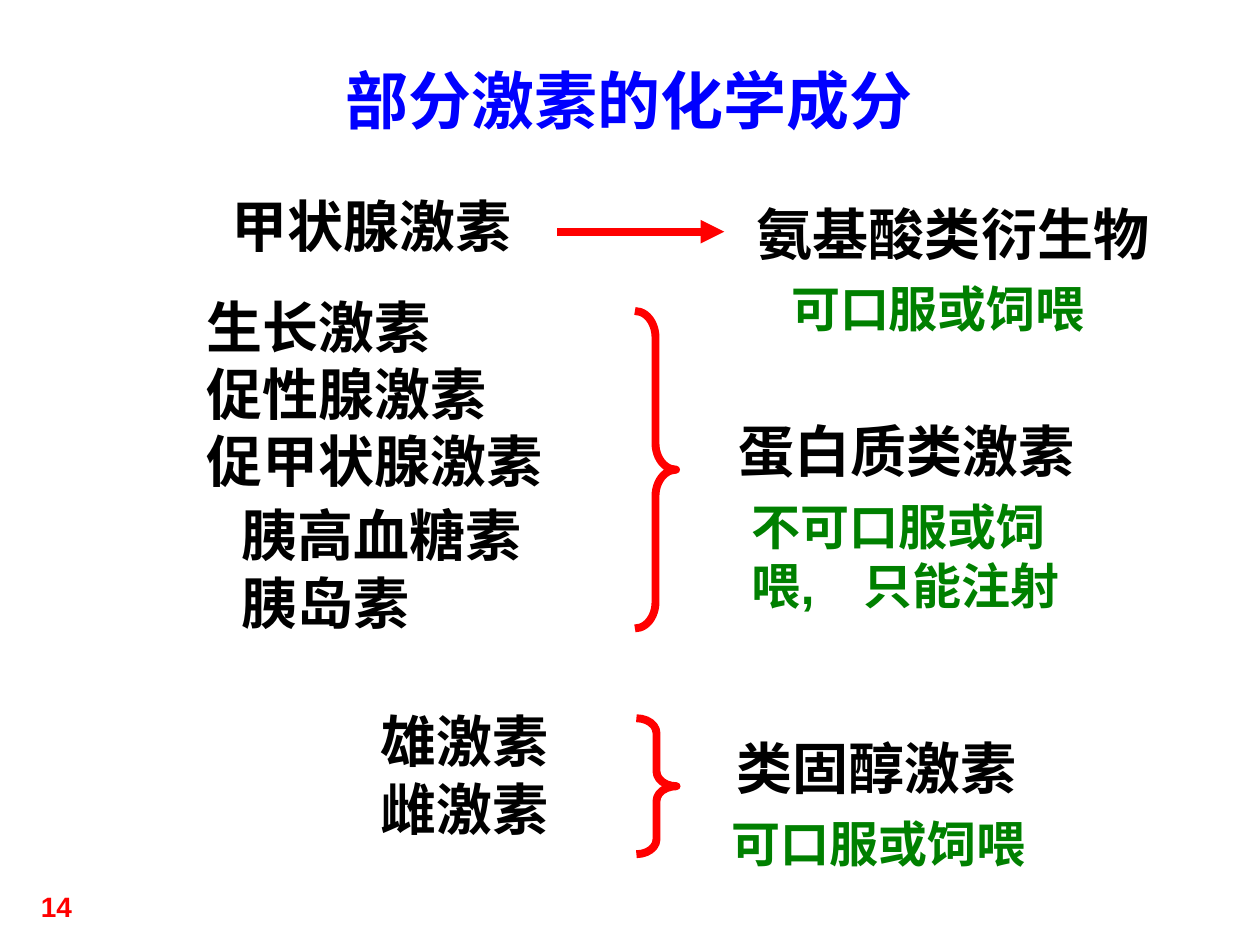
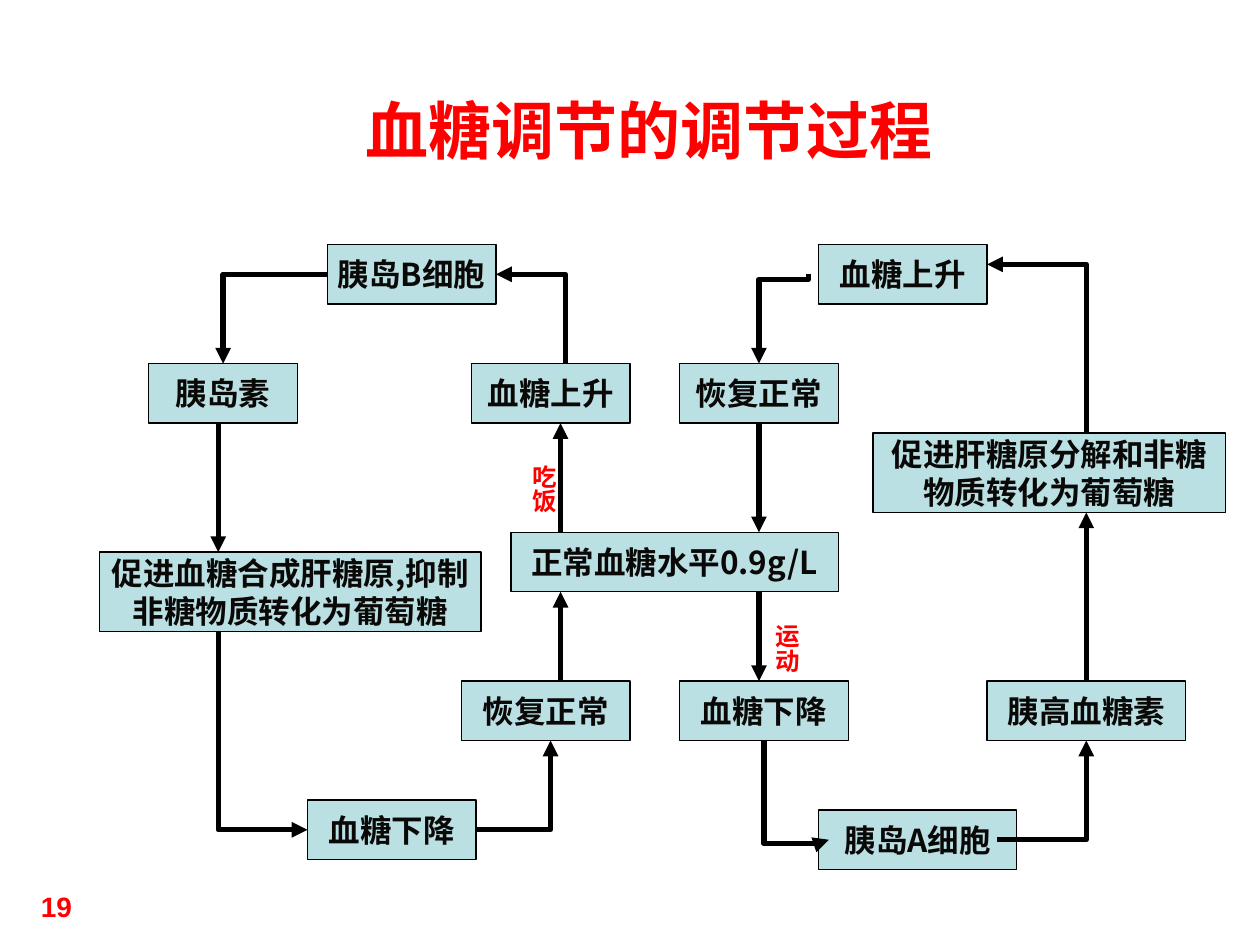
from lxml.etree import SubElement
from pptx import Presentation
from pptx.dml.color import RGBColor
from pptx.enum.shapes import MSO_CONNECTOR, MSO_SHAPE
from pptx.enum.text import MSO_ANCHOR, PP_ALIGN
from pptx.oxml.ns import qn
from pptx.util import Cm, Pt

RED = RGBColor(0xFF, 0x00, 0x00)
BLUE = RGBColor(0x00, 0x00, 0xFF)
GREEN = RGBColor(0x00, 0x80, 0x00)
BLACK = RGBColor(0x00, 0x00, 0x00)
INK = RGBColor(0x0A, 0x09, 0x08)
PALE = RGBColor(0xBB, 0xE0, 0xE3)

SERIF = "Times New Roman"
SANS = "Arial"
HAN = "Noto Sans CJK SC"


# Shared helpers
def write(frame, text, size, color, font, align=None):
    frame.text = text
    for para in frame.paragraphs:
        para.alignment = align
        for run in para.runs:
            run.font.size = Pt(size)
            run.font.bold = True
            run.font.color.rgb = color
            run.font.name = font
            SubElement(run.font._element, qn("a:ea"), typeface=HAN)


def label(slide, box, text, size=32, color=BLACK, font=SERIF,
          align=None, anchor=MSO_ANCHOR.TOP):
    frame = slide.shapes.add_textbox(*map(Cm, box)).text_frame
    frame.word_wrap = True
    frame.vertical_anchor = anchor
    write(frame, text, size, color, font, align)
    return frame


def style(shape, color, width, tip=None):
    """Set a plain line without shadow; tip is headEnd, tailEnd or None."""
    shape.line.color.rgb = color
    shape.line.width = Pt(width)
    props = shape._element.spPr
    if tip:
        SubElement(props.find(qn("a:ln")), qn("a:" + tip), type="triangle")
    if props.find(qn("a:effectLst")) is None:
        SubElement(props, qn("a:effectLst"))


def arrow(slide, start, end, color=BLACK, width=3):
    line = slide.shapes.add_connector(
        MSO_CONNECTOR.STRAIGHT, *map(Cm, start + end))
    style(line, color, width, "tailEnd")


def elbow(slide, start, end, down):
    """Draw a one-corner arrow, leaving vertically when down is true."""
    ends = end + start if down else start + end
    line = slide.shapes.add_connector(MSO_CONNECTOR.ELBOW, *map(Cm, ends))
    line._element.spPr.find(qn("a:prstGeom")).set("prst", "bentConnector2")
    style(line, BLACK, 3, "headEnd" if down else "tailEnd")


def track(slide, points):
    """Draw an arrow with several corners."""
    first, *rest = [(Cm(x), Cm(y)) for x, y in points]
    pen = slide.shapes.build_freeform(*first)
    pen.add_line_segments(rest, close=False)
    shape = pen.convert_to_shape()
    shape.shadow.inherit = False
    shape.fill.background()
    style(shape, BLACK, 3, "tailEnd")


def start_slide(deck, title, box, color, number):
    slide = deck.slides.add_slide(deck.slide_layouts[6])
    label(slide, box, title, 36, color)
    label(slide, (0.38, 17.81, 1.32, 1.24), number, 16, RED, SANS,
          PP_ALIGN.RIGHT)
    return slide


# Hormone classes: names on the left, class and note on the right
def names(slide, box, lists):
    left, top = box
    for x, y, wide, high, text in lists:
        label(slide, (left + x, top + y, wide, high), text,
              anchor=MSO_ANCHOR.MIDDLE)


def result(slide, box, kind, note, shift, drop):
    left, top, wide = box
    label(slide, (left, top, wide, 1.63), kind)
    label(slide, (left + shift, top + drop, 7.1, 1.45), note, 28, GREEN, SANS)


def brace(slide, box, curve):
    shape = slide.shapes.add_shape(MSO_SHAPE.RIGHT_BRACE, *map(Cm, box))
    shape.adjustments[0] = curve
    shape.shadow.inherit = False
    shape.fill.background()
    style(shape, RED, 4.5)


def classes(deck):
    slide = start_slide(deck, "部分激素的化学成分",
                        (6.71, 1.12, 14.2, 1.78), BLUE, "14")
    # Amino acid derivatives
    names(slide, (4.42, 3.91), [(0, 0, 8.03, 1.27, "甲状腺激素")])
    arrow(slide, (11.23, 4.67), (14.6, 4.67), RED, 4.5)
    result(slide, (15.01, 3.89, 9.98), "氨基酸类衍生物",
           "可口服或饲喂", 0.69, 1.6)
    # Proteins
    names(slide, (3.91, 5.77), [
        (0, 0, 9.73, 4.32, "生长激素\n促性腺激素\n促甲状腺激素"),
        (0.71, 4.54, 9.52, 2.29, "胰高血糖素\n胰岛素")])
    brace(slide, (12.8, 6.27, 0.83, 6.4), 0.64)
    result(slide, (14.63, 8.28, 7.39), "蛋白质类激素",
           "不可口服或饲喂,　只能注射", 0.28, 1.6)
    # Steroids
    names(slide, (7.42, 14.1), [
        (0, 0, 4, 1.63, "雄激素"), (0, 1.37, 4.6, 1.63, "雌激素")])
    brace(slide, (12.83, 14.48, 0.81, 2.74), 0.37)
    result(slide, (14.6, 14.66, 7), "类固醇激素",
           "可口服或饲喂", -0.1, 1.62)


# Blood sugar loop; all places are relative to the corner of the chart
NODES = [  # x, y, width, text
    (8.3, 5.8, 6.6, "正常血糖水平0.9g/L"),
    (7.5, 2.4, 3.2, "血糖上升"),
    (11.7, 8.8, 3.4, "血糖下降"),
    (11.7, 2.4, 3.2, "恢复正常"),
    (7.3, 8.8, 3.4, "恢复正常"),
    (4.2, 11.2, 3.4, "血糖下降"),
    (14.5, 0, 3.4, "血糖上升"),
    (4.6, 0, 3.4, "胰岛B细胞"),
    (14.5, 11.4, 4, "胰岛A细胞"),
    (1, 2.4, 3, "胰岛素"),
    (17.9, 8.8, 4, "胰高血糖素"),
    (0, 6.2, 7.7, "促进血糖合成肝糖原,抑制\n非糖物质转化为葡萄糖"),
    (15.6, 3.8, 7.1, "促进肝糖原分解和非糖\n物质转化为葡萄糖"),
]
RUNS = [  # x, from y, to y
    (9.3, 5.8, 3.6), (9.3, 8.8, 7), (13.3, 3.6, 5.8),
    (13.3, 7, 8.8), (19.9, 8.8, 5.4), (2.4, 3.6, 6.2),
]
TURNS = [  # start, end, leaves vertically
    ((2.4, 7.8), (4.2, 11.8), True),
    ((7.6, 11.8), (9.1, 10), False),
    ((9.4, 2.4), (8, 0.6), True),
    ((4.6, 0.6), (2.5, 2.4), False),
    ((19.9, 3.8), (17.9, 0.4), True),
    ((18.1, 12), (19.9, 10), False),
]
TRACKS = [
    [(13.4, 10), (13.4, 12.08), (14.71, 12.08), (14.71, 12)],
    [(14.3, 0.6), (14.3, 0.7), (13.3, 0.7), (13.3, 2.4)],
]
CAUSES = [(8.3, 4.19, "吃饭"), (13.2, 7.4, "运动")]


def node(slide, box, text):
    shape = slide.shapes.add_shape(MSO_SHAPE.RECTANGLE, *map(Cm, box))
    shape.shadow.inherit = False
    shape.fill.solid()
    shape.fill.fore_color.rgb = PALE
    style(shape, BLACK, 0.75)
    frame = shape.text_frame
    frame.word_wrap = False
    frame.vertical_anchor = MSO_ANCHOR.MIDDLE
    write(frame, text, 18, INK, HAN, PP_ALIGN.CENTER)


def cause(slide, box, text):
    frame = label(slide, box, text, 14, RED)
    frame._element.bodyPr.set("vert", "eaVert")
    frame.margin_left = frame.margin_right = Cm(0.13)
    frame.margin_top = frame.margin_bottom = Cm(0.25)


def loop(slide, box):
    left, top = box

    def place(point):
        return left + point[0], top + point[1]

    for x, y, wide, text in NODES:
        high = 1.6 if "\n" in text else 1.2
        node(slide, place((x, y)) + (wide, high), text)
    for x, y, goal in RUNS:
        arrow(slide, place((x, y)), place((x, goal)))
    for start, end, down in TURNS:
        elbow(slide, place(start), place(end), down)
    for points in TRACKS:
        track(slide, [place(point) for point in points])
    for x, y, text in CAUSES:
        cause(slide, place((x, y)) + (1.1, 1.6), text)


def process(deck):
    slide = start_slide(deck, "血糖调节的调节过程",
                        (7.11, 1.73, 12.2, 1.78), RED, "19")
    loop(slide, (2, 4.93))


def main():
    deck = Presentation()
    deck.slide_width, deck.slide_height = Cm(25.4), Cm(19.05)
    classes(deck)
    process(deck)
    deck.save("out.pptx")


if __name__ == "__main__":
    main()
